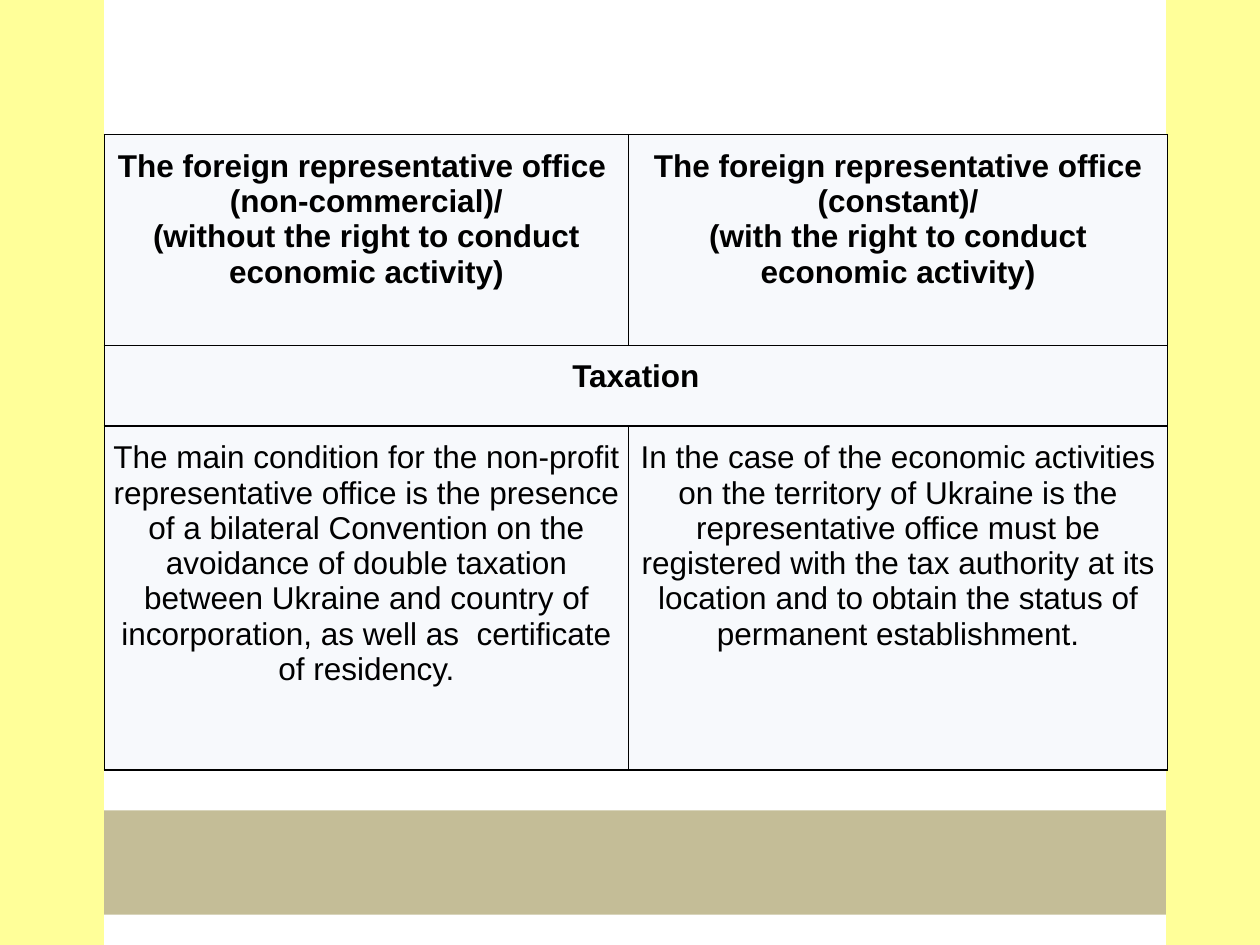
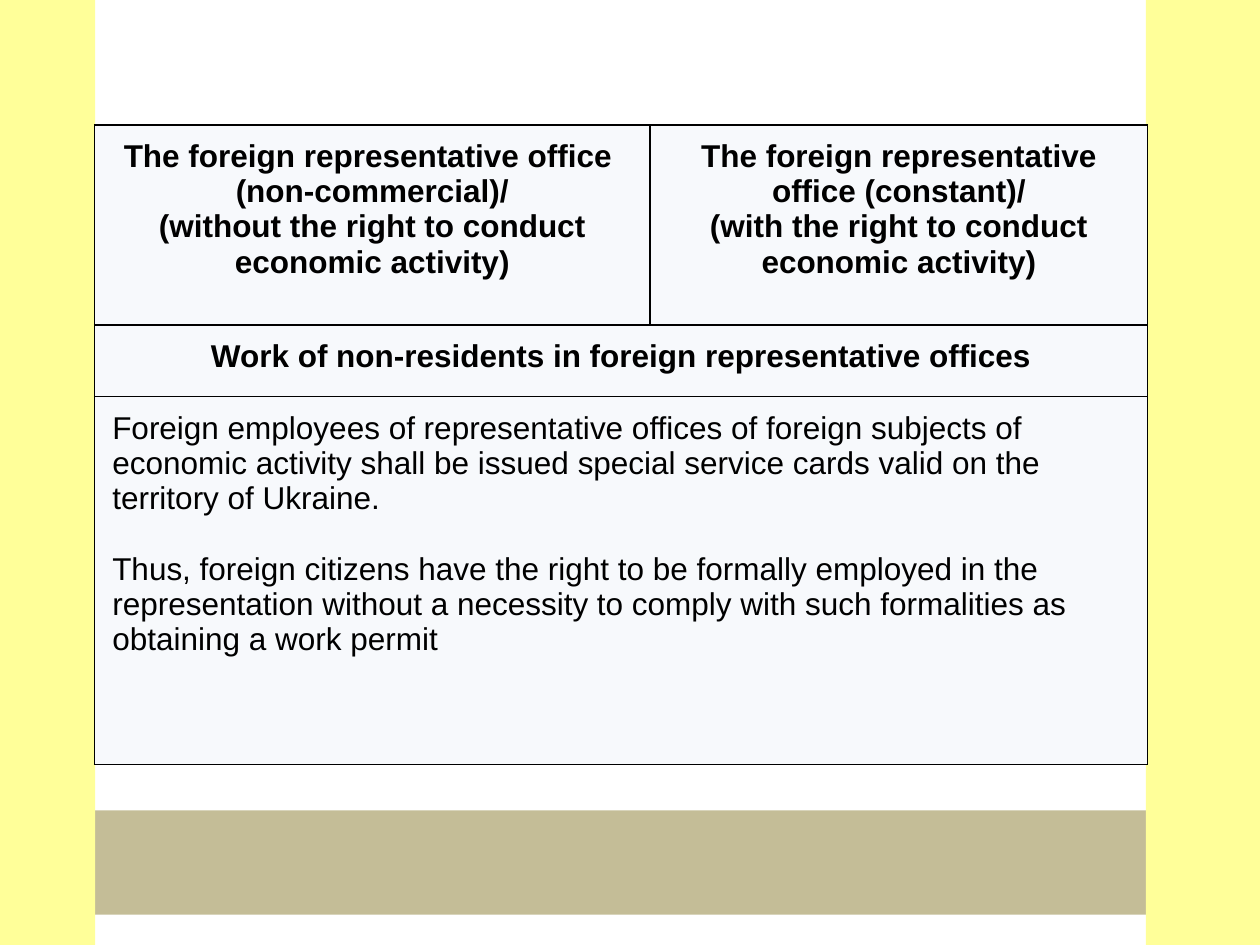
from lxml import etree
from pptx import Presentation
from pptx.dml.color import RGBColor
from pptx.enum import shapes, text
from pptx.oxml import ns
from pptx.util import Pt

SLIDE_WIDTH, SLIDE_HEIGHT = 720, 540
TAN, YELLOW, CELL, INK = "C4BD97", "FFFF99", "F7F9FC", "000000"
SIDE_WIDTH = 90.7
CENTER, LEFT = text.PP_ALIGN.CENTER, text.PP_ALIGN.LEFT

# Column headings that both slides share
HEADINGS = [
    ["The foreign representative office ", "(non-commercial)/",
     "(without the right to conduct economic activity)"],
    ["The foreign representative office (constant)/",
     "(with the right to conduct economic activity)"],
]


def color(value):
    return RGBColor.from_string(value)


class Deck:
    """Holds the shared style and the current slide."""

    font, size, gap, indent = "Arial", 18, 20.2, 7.2

    def __init__(self):
        self.presentation = Presentation()
        self.presentation.slide_width = Pt(SLIDE_WIDTH)
        self.presentation.slide_height = Pt(SLIDE_HEIGHT)
        self.slide = None

    def add_slide(self, left_edge, right_edge, right_top):
        """Start a slide with its bottom band and the two side bands."""
        layout = self.presentation.slide_layouts[6]
        self.slide = self.presentation.slides.add_slide(layout)
        self.band(-49.7, 463, 810.7, 59.6, TAN)
        self.band(left_edge - SIDE_WIDTH, -132.8, SIDE_WIDTH, 771.1, YELLOW)
        self.band(right_edge, right_top, SIDE_WIDTH, 771.1, YELLOW)

    def band(self, left, top, width, height, fill):
        shape = self.slide.shapes.add_shape(
            shapes.MSO_SHAPE.RECTANGLE, Pt(left), Pt(top), Pt(width), Pt(height))
        shape.shadow.inherit = False
        shape.fill.solid()
        shape.fill.fore_color.rgb = color(fill)
        shape.line.fill.background()

    def table(self, left, top, widths, heights, topic, body, align=CENTER):
        """Headings, a merged topic row, and one or two body cells."""
        table = self.slide.shapes.add_table(
            len(heights), len(widths), Pt(left), Pt(top),
            Pt(sum(widths)), Pt(sum(heights))).table
        table.first_row = table.horz_banding = False
        for column, width in zip(table.columns, widths):
            column.width = Pt(width)
        for row, height in zip(table.rows, heights):
            row.height = Pt(height)
        for cell in table.iter_cells():
            self.frame(cell)

        rows = [(HEADINGS, True, CENTER), ([[topic]], True, CENTER),
                (body, False, align)]
        for index, (cells, bold, alignment) in enumerate(rows):
            if len(cells) == 1:
                table.cell(index, 0).merge(table.cell(index, len(widths) - 1))
            for column, paragraphs in enumerate(cells):
                self.fill_text(table.cell(index, column), paragraphs, bold, alignment)

    def frame(self, cell):
        """Give a cell its margins, thin borders and fill."""
        cell.margin_left = cell.margin_right = Pt(3)
        cell.margin_top = cell.margin_bottom = Pt(8)
        properties = cell._tc.get_or_add_tcPr()
        for side in ("lnL", "lnR", "lnT", "lnB"):
            line = etree.SubElement(properties, ns.qn(f"a:{side}"), w=str(Pt(1)))
            fill = etree.SubElement(line, ns.qn("a:solidFill"))
            etree.SubElement(fill, ns.qn("a:srgbClr"), val=INK)
        cell.fill.solid()
        cell.fill.fore_color.rgb = color(CELL)

    def fill_text(self, cell, paragraphs, bold, align):
        for index, words in enumerate(paragraphs):
            frame = cell.text_frame
            paragraph = frame.add_paragraph() if index else frame.paragraphs[0]
            paragraph.text = words
            paragraph.alignment = align
            paragraph.font.name = self.font
            paragraph.font.size = Pt(self.size)
            paragraph.font.bold = bold
            paragraph.font.color.rgb = color(INK)
            if align == LEFT:
                properties = paragraph._p.get_or_add_pPr()
                properties.set("marL", str(Pt(self.indent)))
                properties.set("indent", "0")
                if index:
                    paragraph.space_before = Pt(self.gap)


def main():
    deck = Deck()

    # Taxation
    deck.add_slide(left_edge=59.4, right_edge=666.4, right_top=-70.2)
    deck.table(59.6, 77, [299.6, 308], [120.4, 46.2, 196.4], "Taxation", [
        ["The main condition for the non-profit representative office is the "
         "presence of a bilateral Convention on the avoidance of double taxation "
         "between Ukraine and country of incorporation, as well as  certificate "
         "of residency."],
        ["In the case of the economic activities on the territory of Ukraine is "
         "the representative office must be registered with the tax authority at "
         "its location and to obtain the status of permanent establishment."],
    ])

    # Work of non-residents
    deck.add_slide(left_edge=54.4, right_edge=654.8, right_top=-120.6)
    deck.table(54, 71.3, [317.5, 284.4], [114.4, 41, 210.2],
               "Work of non-residents in foreign representative offices", [
        ["Foreign employees of representative offices of foreign subjects of "
         "economic activity shall be issued special service cards valid on the "
         "territory of Ukraine.",
         "Thus, foreign citizens have the right to be formally employed in the "
         "representation without a necessity to comply with such formalities as "
         "obtaining a work permit"],
    ], align=LEFT)

    deck.presentation.save("out.pptx")


if __name__ == "__main__":
    main()
